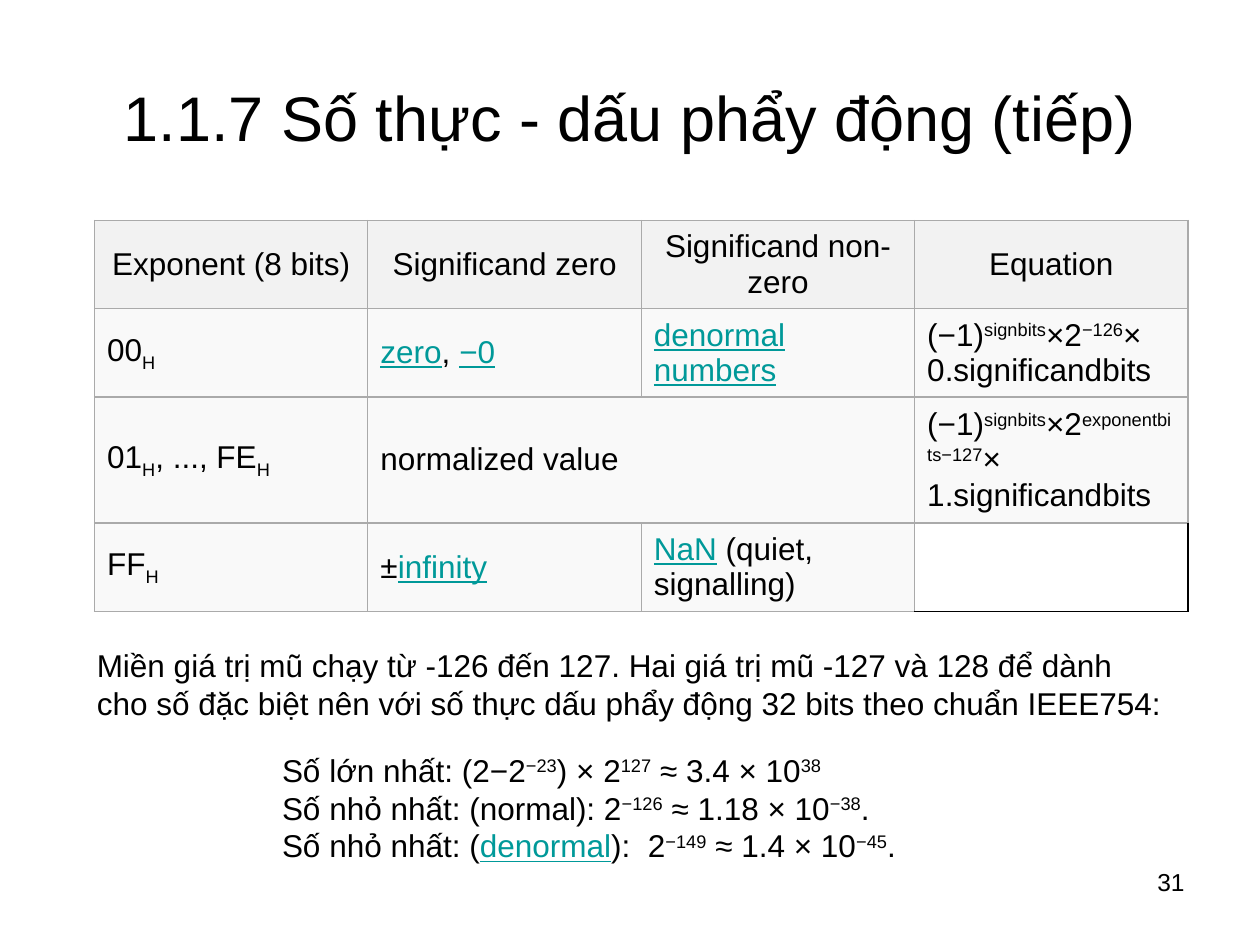
import pptx
import pptx.util
import pptx.dml.color
import pptx.enum.text
import pptx.oxml
import pptx.oxml.ns
from pptx.util import Inches

RGBColor = pptx.dml.color.RGBColor
ALIGN = pptx.enum.text.PP_ALIGN
MIDDLE = pptx.enum.text.MSO_ANCHOR.MIDDLE
BLACK = RGBColor(0, 0, 0)
TEAL = RGBColor(0x00, 0x99, 0x99)
HEAD = RGBColor(0xF2, 0xF2, 0xF2)
BODY = RGBColor(0xF9, 0xF9, 0xF9)
GRAY = RGBColor(0xAA, 0xAA, 0xAA)
FONT = "Arial"
SUP, SUB, LINK = "sup", "sub", "link"
BASELINE = {SUP: "30000", SUB: "-25000"}

TITLE = ["1.1.7 Số thực - dấu phẩy động (tiếp)"]
NUMBER = ["31"]
TABLE = [
    [["Exponent (8 bits)"], ["Significand zero"], ["Significand non-zero"], ["Equation"]],
    [["00", ("H", SUB)],
     [("zero", LINK), ",\u00a0", ("−0", LINK)],
     [("denormal numbers", LINK)],
     ["(−1)", ("signbits", SUP), "×2", ("−126", SUP), "× 0.significandbits"]],
    [["01", ("H", SUB), ", ..., FE", ("H", SUB)],
     ["normalized value"],
     [],
     ["(−1)", ("signbits", SUP), "×2", ("exponentbits−127", SUP), "× 1.significandbits"]],
    [["FF", ("H", SUB)],
     ["±", ("infinity", LINK)],
     [("NaN", LINK), "\u00a0(quiet, signalling)"],
     []],
]
ROW_HEIGHTS = [0.66, 0.66, 0.94, 0.66]
COL_WIDTH = 2.17
RANGE = ["Miền giá trị mũ chạy từ -126 đến 127. Hai giá trị mũ -127 và 128 để dành "
         "cho số đặc biệt nên với số thực dấu phẩy động 32 bits theo chuẩn IEEE754:"]
LIMITS = [
    ["Số lớn nhất: (2−2", ("−23", SUP), ") × 2", ("127", SUP), "\u00a0≈ 3.4 × 10", ("38", SUP)],
    ["Số nhỏ nhất: (normal): 2", ("−126", SUP), "\u00a0≈ 1.18 × 10", ("−38", SUP), "."],
    ["Số nhỏ nhất: (", ("denormal", LINK), "): \u00a02", ("−149", SUP),
     "\u00a0≈ 1.4 × 10", ("−45", SUP), "."],
]


def add_runs(p, runs, size=18, align=ALIGN.LEFT):
    p.alignment = align
    for item in runs:
        text, style = (item, None) if isinstance(item, str) else item
        r = p.add_run()
        r.text = text
        r.font.name = FONT
        r.font.size = pptx.util.Pt(size)
        r.font.color.rgb = TEAL if style == LINK else BLACK
        if style == LINK:
            r.font.underline = True
        if style in BASELINE:
            r.font._element.set("baseline", BASELINE[style])


def add_text(s, box, paragraphs, size=18, align=ALIGN.LEFT, anchor=None, wrap=True):
    tf = s.shapes.add_textbox(*map(Inches, box)).text_frame
    tf.word_wrap = wrap
    if anchor is not None:
        tf.vertical_anchor = anchor
    for i, runs in enumerate(paragraphs):
        p = tf.add_paragraph() if i else tf.paragraphs[0]
        add_runs(p, runs, size, align)


def set_borders(cell, colors):
    tcPr = cell._tc.get_or_add_tcPr()
    for i, (side, color) in enumerate(zip("LRTB", colors)):
        tcPr.insert(i, pptx.oxml.parse_xml(
            f'<a:ln{side} {pptx.oxml.ns.nsdecls("a")} w="9525"><a:solidFill>'
            f'<a:srgbClr val="{color}"/></a:solidFill></a:ln{side}>'))


def add_grid(s):
    rows, cols = len(TABLE), len(TABLE[0])
    table = s.shapes.add_table(rows, cols, Inches(0.75), Inches(1.75),
                               Inches(COL_WIDTH * cols), Inches(sum(ROW_HEIGHTS))).table
    table.first_row = table.horz_banding = False
    for col in table.columns:
        col.width = Inches(COL_WIDTH)
    for i, (row, height) in enumerate(zip(TABLE, ROW_HEIGHTS)):
        table.rows[i].height = Inches(height)
        for j, runs in enumerate(row):
            cell = table.cell(i, j)
            cell.vertical_anchor = MIDDLE
            add_runs(cell.text_frame.paragraphs[0], runs,
                     align=ALIGN.LEFT if i else ALIGN.CENTER)
            if (i, j) == (rows - 1, cols - 1):
                cell.fill.background()
                set_borders(cell, [GRAY, BLACK, GRAY, BLACK])
            else:
                cell.fill.solid()
                cell.fill.fore_color.rgb = BODY if i else HEAD
                set_borders(cell, [GRAY] * 4)
    table.cell(2, 1).merge(table.cell(2, 2))


def main():
    prs = pptx.Presentation()
    prs.slide_width, prs.slide_height = Inches(10), Inches(7.5)
    s = prs.slides.add_slide(prs.slide_layouts[6])
    add_text(s, (0.5, 0.3, 9, 1.25), [TITLE], 36, ALIGN.CENTER, MIDDLE)
    add_grid(s)
    add_text(s, (7.17, 6.83, 2.33, 0.52), [NUMBER], 14, ALIGN.RIGHT)
    add_text(s, (2.14, 5.91, 5.27, 1.01), LIMITS, wrap=False)
    add_text(s, (0.67, 5.08, 8.67, 0.71), [RANGE])
    prs.save("out.pptx")


if __name__ == "__main__":
    main()
